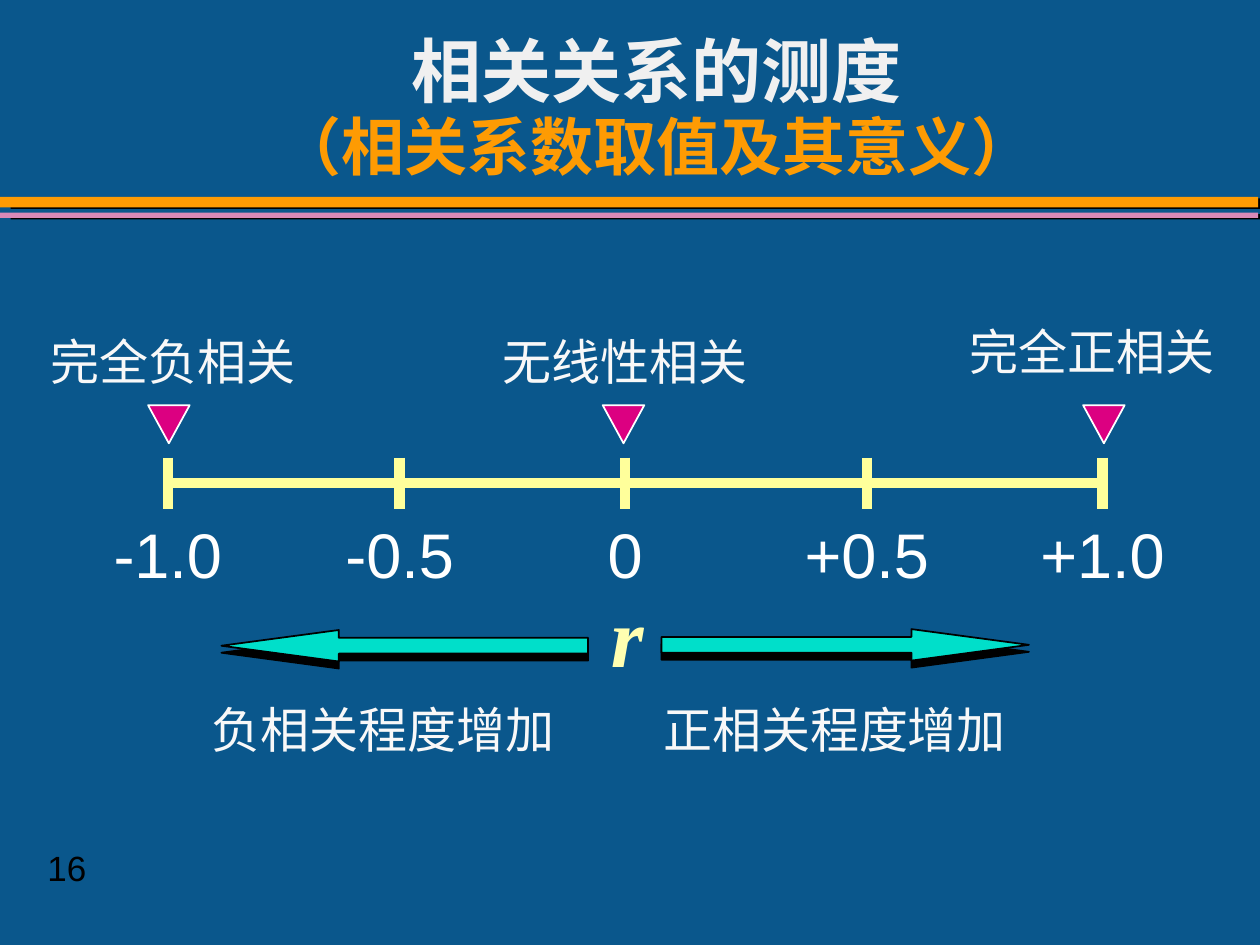
from typing import NamedTuple

from lxml.etree import SubElement
from pptx import Presentation
from pptx.dml.color import RGBColor
from pptx.enum.shapes import MSO_CONNECTOR, MSO_SHAPE as Preset
from pptx.enum.text import MSO_ANCHOR, PP_ALIGN as Align
from pptx.oxml.ns import qn
from pptx.util import Pt

BACKGROUND = RGBColor(0x0A, 0x57, 0x8C)
ORANGE = RGBColor(0xFE, 0x9B, 0x03)
PINK = RGBColor(0xD9, 0x89, 0xB8)
MAGENTA = RGBColor(0xDC, 0x00, 0x81)
TEAL = RGBColor(0x00, 0xDF, 0xCA)
AXIS_YELLOW = RGBColor(0xFF, 0xFF, 0x9B)
SYMBOL_YELLOW = RGBColor(0xFF, 0xFF, 0xB1)
TITLE_WHITE = RGBColor(0xF0, 0xF0, 0xF0)
LABEL_WHITE = RGBColor(0xF8, 0xF8, 0xF8)
WHITE = RGBColor(0xFF, 0xFF, 0xFF)
BLACK = RGBColor(0x00, 0x00, 0x00)

AXIS_Y, TICK_TOP, TICK_BOTTOM = 276, 261.5, 291


class Box(NamedTuple):
    left: float
    top: float
    width: float
    height: float

    def lengths(self) -> list:
        return [Pt(value) for value in self]


class Style(NamedTuple):
    size: float
    color: RGBColor
    font: str = "Arial"
    bold: bool = False
    italic: bool = False


class Tick(NamedTuple):
    x: float
    value: str


class Landmark(NamedTuple):
    meaning: str
    label: Box
    marker_left: float


class Direction(NamedTuple):
    trend: str
    label: Box
    preset: Preset
    arrow: Box


VALUE_STYLE = Style(36, WHITE)
LABEL_STYLE = Style(28, LABEL_WHITE)

TICKS = [Tick(95.9, "-1.0"), Tick(228.4, "-0.5"), Tick(357.2, "0"),
         Tick(495.3, "+0.5"), Tick(630, "+1.0")]
LANDMARKS = [
    Landmark("完全负相关", Box(18, 186, 162, 40.5), 84.6),
    Landmark("无线性相关", Box(276, 186, 162, 40.5), 344.4),
    Landmark("完全正相关", Box(546, 180, 156, 40.5), 618.9),
]
DIRECTIONS = [
    Direction("负相关程度增加", Box(114, 396, 216, 40.5),
              Preset.LEFT_ARROW, Box(126.5, 360, 209.5, 18)),
    Direction("正相关程度增加", Box(372, 396, 216, 40.5),
              Preset.RIGHT_ARROW, Box(378, 359.5, 210, 18)),
]


def style_run(run, style: Style) -> None:
    font = run.font
    font.size, font.name = Pt(style.size), style.font
    font.bold, font.italic = style.bold, style.italic
    font.color.rgb = style.color


def add_text(slide, text: str, box: Box, *styles: Style,
             align: Align = Align.LEFT, wrap: bool = True):
    """Add one paragraph; each line of it takes the next style."""
    frame = slide.shapes.add_textbox(*box.lengths()).text_frame
    frame.word_wrap = wrap
    paragraph = frame.paragraphs[0]
    paragraph.text = text
    paragraph.alignment = align
    for run, style in zip(paragraph.runs, styles):
        style_run(run, style)
    return frame


def add_figure(slide, preset: Preset, box: Box, fill: RGBColor,
               outline: RGBColor | None = None):
    figure = slide.shapes.add_shape(preset, *box.lengths())
    figure.shadow.inherit = False
    figure.fill.solid()
    figure.fill.fore_color.rgb = fill
    if outline is None:
        figure.line.fill.background()
    else:
        figure.line.color.rgb = outline
        figure.line.width = Pt(1)
    return figure


def add_hard_shadow(figure, distance: float, degrees: int) -> None:
    effects = figure._element.spPr.find(qn("a:effectLst"))
    shadow = SubElement(effects, qn("a:outerShdw"), blurRad="0",
                        dist=str(Pt(distance)), dir=str(degrees * 60000),
                        algn="ctr", rotWithShape="0")
    SubElement(shadow, qn("a:srgbClr"), val=str(BLACK))


def add_axis_line(slide, x1: float, y1: float, x2: float, y2: float) -> None:
    line = slide.shapes.add_connector(
        MSO_CONNECTOR.STRAIGHT, Pt(x1), Pt(y1), Pt(x2), Pt(y2))
    line.line.color.rgb = AXIS_YELLOW
    line.line.width = Pt(6)
    SubElement(line._element.spPr, qn("a:effectLst"))


def add_heading(slide) -> None:
    for top, height, color in ((112.5, 6, ORANGE), (121.5, 3, PINK)):
        band = add_figure(slide, Preset.RECTANGLE,
                          Box(0, top, 719, height), color)
        add_hard_shadow(band, 6.1, 9)
    title = add_text(slide, "相关关系的测度\v（相关系数取值及其意义）",
                     Box(96, 18, 558, 89),
                     Style(40, TITLE_WHITE, "Cambria", bold=True),
                     Style(36, ORANGE, "Cambria", bold=True),
                     align=Align.CENTER)
    title.vertical_anchor = MSO_ANCHOR.MIDDLE
    title.paragraphs[0].line_spacing = 0.95


def add_scale(slide) -> None:
    add_axis_line(slide, TICKS[0].x, AXIS_Y, TICKS[-1].x, AXIS_Y)
    for tick in TICKS:
        add_axis_line(slide, tick.x, TICK_TOP, tick.x, TICK_BOTTOM)
        add_text(slide, tick.value, Box(tick.x - 60, 291, 120, 50.5),
                 VALUE_STYLE, align=Align.CENTER)
    for landmark in LANDMARKS:
        add_text(slide, landmark.meaning, landmark.label, LABEL_STYLE,
                 align=Align.CENTER)
        marker = add_figure(slide, Preset.ISOSCELES_TRIANGLE,
                            Box(landmark.marker_left, 231.5, 23.8, 21.8),
                            MAGENTA, WHITE)
        marker.rotation = 180


def add_directions(slide) -> None:
    for direction in DIRECTIONS:
        add_text(slide, direction.trend, direction.label, LABEL_STYLE)
        arrow = add_figure(slide, direction.preset, direction.arrow,
                           TEAL, BLACK)
        arrow.adjustments[0] = 0.5
        arrow.adjustments[1] = 3.73
        add_hard_shadow(arrow, 4, 90)
    add_text(slide, "r", Box(342, 330, 30, 65),
             Style(48, SYMBOL_YELLOW, "Times New Roman", True, True))


def main() -> None:
    deck = Presentation()
    deck.slide_width, deck.slide_height = Pt(720), Pt(540)
    slide = deck.slides.add_slide(deck.slide_layouts[6])
    slide.background.fill.solid()
    slide.background.fill.fore_color.rgb = BACKGROUND
    add_heading(slide)
    add_text(slide, "16", Box(20, 480, 106, 31), Style(20, BLACK), wrap=False)
    add_scale(slide)
    add_directions(slide)
    deck.save("out.pptx")


if __name__ == "__main__":
    main()
